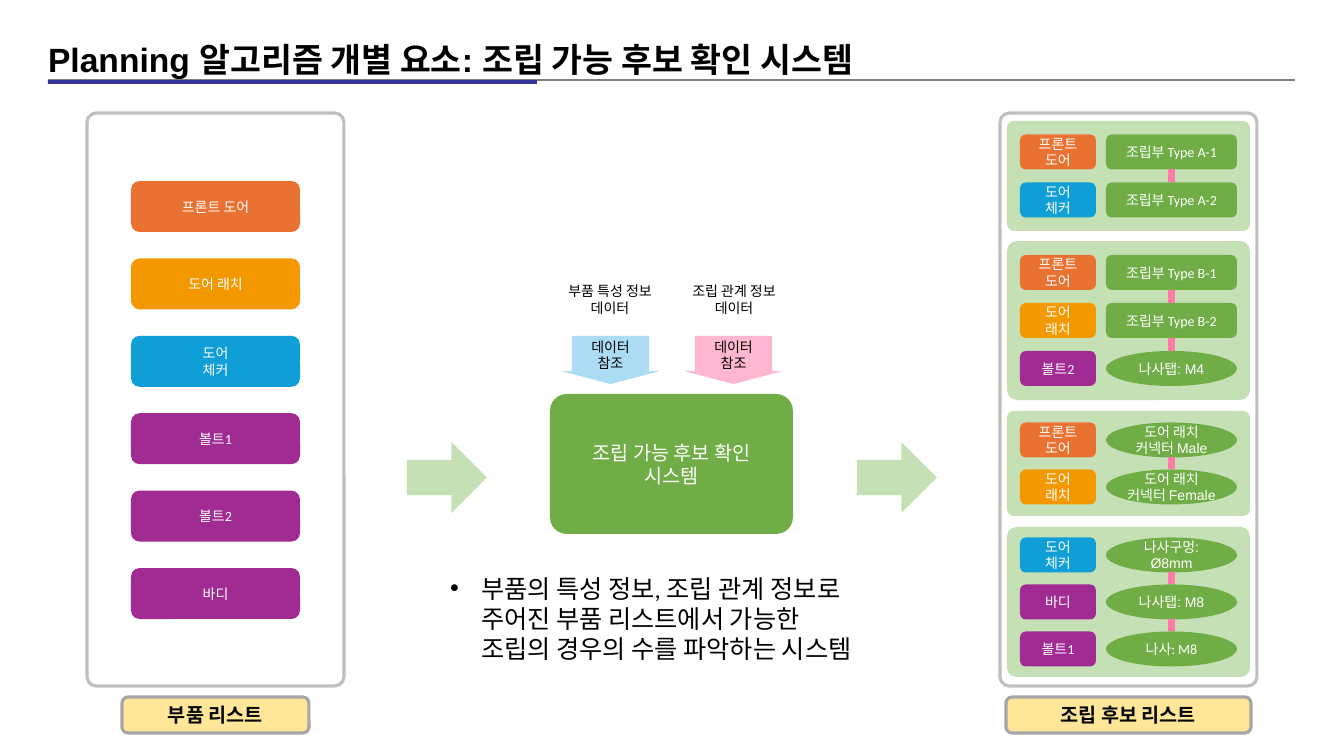
"""Build the slide on finding feasible assembly candidates from a part list."""
from lxml import etree
from pptx import Presentation
from pptx.dml.color import RGBColor
from pptx.enum.shapes import MSO_CONNECTOR, MSO_SHAPE as Kind
from pptx.enum.text import MSO_ANCHOR as Anchor, MSO_AUTO_SIZE as AutoSize, PP_ALIGN as Align
from pptx.oxml.ns import qn
from pptx.util import Pt

TITLE = "Planning 알고리즘 개별 요소: 조립 가능 후보 확인 시스템"
SUMMARY = ["부품의 특성 정보, 조립 관계 정보로", "주어진 부품 리스트에서 가능한", "조립의 경우의 수를 파악하는 시스템"]
SYSTEM = "조립 가능 후보 확인 시스템"
REFERENCE = "데이터 참조"
FRAMES = [
    ((87, 113, 257, 573), "부품 리스트", (122, 697, 187, 36)),
    ((1000, 113, 257, 573), "조립 후보 리스트", (1006, 697, 245, 36)),
]
DATA_SOURCES = [
    ((551, 278, 118, 44), ["부품 특성 정보 데이터"], 561, "sky"),
    ((676, 278, 116, 44), ["조립 관계 정보", "데이터"], 684, "rose"),
]
PARTS = {
    "프론트 도어": "orange",
    "도어 래치": "amber",
    "도어\n체커": "blue",
    "볼트1": "purple",
    "볼트2": "purple",
    "바디": "purple",
}
BOX, OVAL = Kind.ROUNDED_RECTANGLE, Kind.OVAL
CANDIDATES = [
    (121, 110, 48, [
        ("프론트 도어", "조립부 Type A-1", BOX, "Calibri"),
        ("도어\n체커", "조립부 Type A-2", BOX, "Calibri"),
    ]),
    (241, 159, 48, [
        ("프론트 도어", "조립부 Type B-1", BOX, "Calibri"),
        ("도어 래치", "조립부 Type B-2", BOX, "Calibri"),
        ("볼트2", "나사탭: M4", OVAL, "Arial"),
    ]),
    (411, 105, 47, [
        ("프론트 도어", "도어 래치 커넥터 Male", OVAL, "Arial"),
        ("도어 래치", "도어 래치 커넥터 Female", OVAL, "Arial"),
    ]),
    (527, 150, 47, [
        ("도어\n체커", "나사구멍: Ø8mm", OVAL, "Arial"),
        ("바디", "나사탭: M8", OVAL, "Arial"),
        ("볼트1", "나사: M8", OVAL, "Calibri"),
    ]),
]
COLORS = {
    "black": "000000", "ink": "060606", "white": "FFFFFF", "navy": "333399",
    "rule": "808080", "border": "A6A6A6", "frame": "BFBFBF", "cream": "FFE699",
    "green": "70AD47", "mint": "C5E0B4", "sky": "ABDCF3", "rose": "FFB7D1",
    "link": "FF79A9", "orange": "E97132", "amber": "F39800", "blue": "0F9ED5",
    "purple": "A02B93",
}
PX = 914400 / 100.8
ROW_HEIGHT = 35


def px(value):
    return round(value * PX)


def color(name):
    return RGBColor.from_string(COLORS[name])


def write(box, paragraphs, size, ink, font="Calibri", bold=False, align=Align.CENTER):
    frame = box.text_frame
    frame.word_wrap = True
    for index, text in enumerate(paragraphs):
        para = frame.add_paragraph() if index else frame.paragraphs[0]
        para.alignment = align
        span = para.add_run()
        span.text = text
        style(span, size, ink, font, bold)


def style(span, size, ink, font="Calibri", bold=False):
    span.font.size = Pt(size)
    span.font.name = font
    span.font.bold = bold
    span.font.color.rgb = color(ink)


def place(holder, area):
    holder.left, holder.top, holder.width, holder.height = map(px, area)
    holder.text_frame.auto_size = AutoSize.NONE
    holder.text_frame.vertical_anchor = Anchor.TOP


def add_block(page, kind, area, fill=None, line=None, adjust=(), margin=None):
    block = page.shapes.add_shape(kind, *map(px, area))
    block.shadow.inherit = False
    for index, value in enumerate(adjust):
        block.adjustments[index] = value
    if fill:
        block.fill.solid()
        block.fill.fore_color.rgb = color(fill)
    else:
        block.fill.background()
    if line:
        block.line.color.rgb = color(line)
        block.line.width = Pt(2.25)
    else:
        block.line.fill.background()
    frame = block.text_frame
    frame.vertical_anchor = Anchor.MIDDLE
    if margin is not None:
        frame.margin_left = frame.margin_right = margin
        frame.margin_top = frame.margin_bottom = margin
    return block


def add_line(page, start, end, ink, width):
    line = page.shapes.add_connector(MSO_CONNECTOR.STRAIGHT, *map(px, start + end))
    line.line.color.rgb = color(ink)
    line.line.width = Pt(width)
    etree.SubElement(line._element.spPr, qn("a:effectLst"))
    return line


def add_part(page, name, area):
    part = add_block(page, BOX, area, PARTS[name])
    write(part, name.split("\n"), 10, "white")


def add_header(page):
    title = page.shapes.title
    place(title, (38, 34, 1030, 50))
    write(title, [TITLE], 24, "black", "Arial", True, Align.LEFT)
    add_line(page, (48, 80), (1295, 80), "rule", 1)
    add_block(page, Kind.RECTANGLE, (48, 80, 489, 4), "navy")


def add_summary(page):
    body = page.placeholders[1]
    place(body, (440, 568, 456, 102))
    para = body.text_frame.paragraphs[0]
    props = para._p.get_or_add_pPr()
    props.set("marL", str(px(31)))
    props.set("indent", str(-px(31)))
    etree.SubElement(props, qn("a:buFont")).set("typeface", "Arial")
    etree.SubElement(props, qn("a:buChar")).set("char", "•")
    para.space_before = Pt(0)
    for index, text in enumerate(SUMMARY):
        if index:
            para.add_line_break()
        span = para.add_run()
        span.text = text
        style(span, 18, "black")


def add_system(page):
    system = add_block(page, BOX, (550, 394, 243, 140), "green", adjust=(0.12,))
    write(system, [SYSTEM], 14, "white")
    for area, label, arrow_left, fill in DATA_SOURCES:
        box = page.shapes.add_textbox(*map(px, area))
        write(box, label, 10, "black")
        arrow = add_block(page, Kind.DOWN_ARROW, (arrow_left, 336, 99, 48), fill, adjust=(0.78, 0.27))
        write(arrow, [REFERENCE], 10, "black")
    for left in (407, 857):
        add_block(page, Kind.RIGHT_ARROW, (left, 442, 80, 71), "mint")


def add_candidate(page, top, height, pitch, rows):
    add_block(page, BOX, (1007, top, 243, height), "mint", adjust=(0.062,))
    first = top + (height - pitch * (len(rows) - 1) - ROW_HEIGHT) / 2
    above = None
    for index, (part, feature, kind, font) in enumerate(rows):
        row = first + index * pitch
        add_part(page, part, (1020, row, 76, ROW_HEIGHT))
        block = add_block(page, kind, (1106, row, 131, ROW_HEIGHT), "green", margin=0)
        write(block, [feature], 10, "white", font)
        if above:
            link = add_line(page, (1171.5, row - pitch + ROW_HEIGHT), (1171.5, row), "link", 4.5)
            if above.auto_shape_type == BOX:
                link.begin_connect(above, 2)
            link.end_connect(block, 0)
        above = block


def main():
    deck = Presentation()
    deck.slide_width, deck.slide_height = px(1344), px(756)
    page = deck.slides.add_slide(deck.slide_layouts[1])
    add_header(page)
    add_summary(page)
    for area, caption, caption_area in FRAMES:
        add_block(page, BOX, area, line="frame", adjust=(0.036,))
        label = add_block(page, BOX, caption_area, "cream", "border")
        write(label, [caption], 14, "ink", bold=True)
    add_system(page)
    for index, name in enumerate(PARTS):
        add_part(page, name, (131, 181 + index * 77.4, 169, 51))
    for candidate in CANDIDATES:
        add_candidate(page, *candidate)
    deck.save("out.pptx")


if __name__ == "__main__":
    main()
